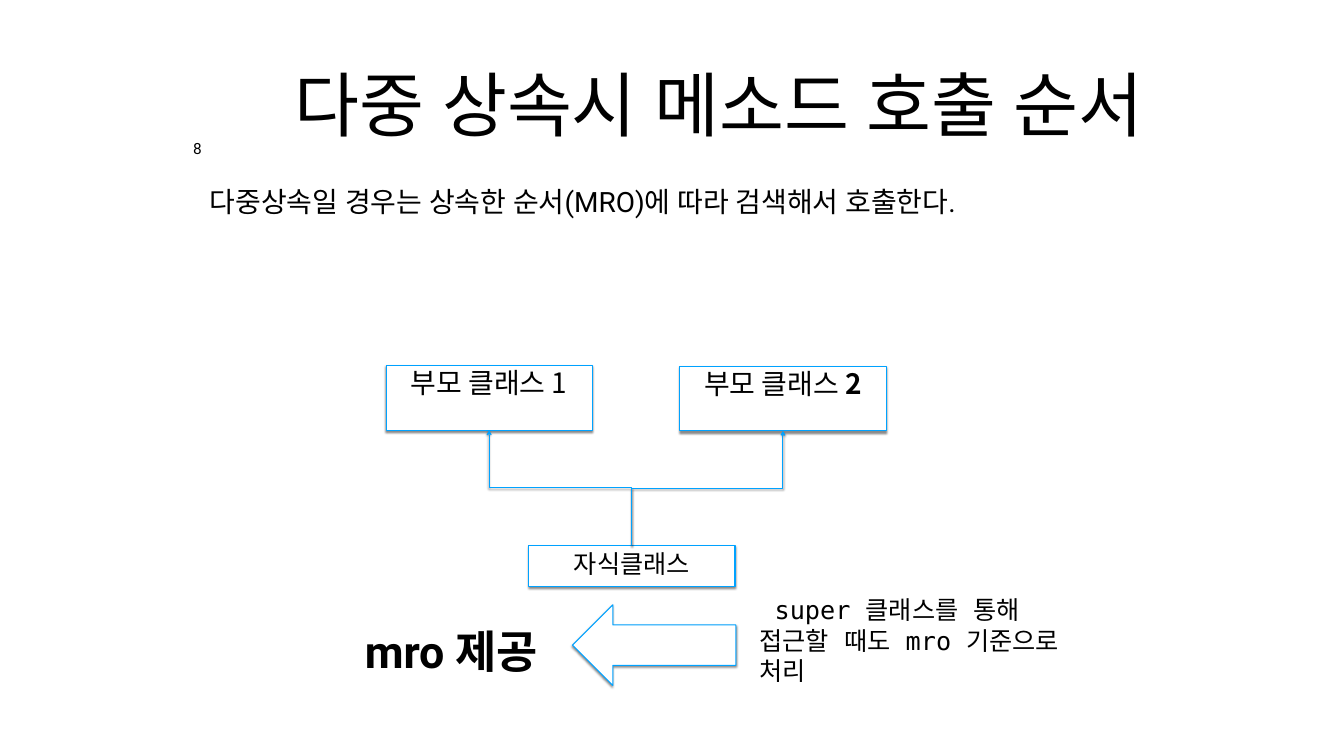
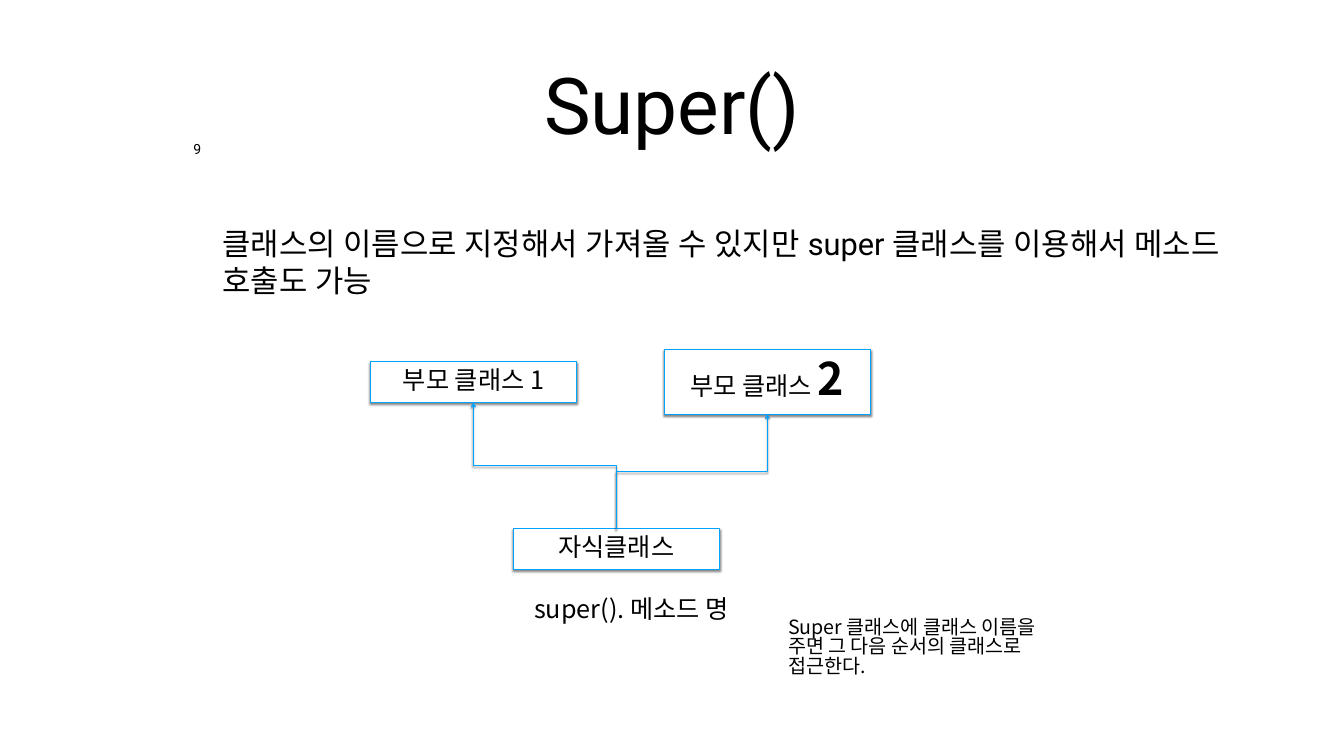
from lxml import etree
from pptx import Presentation
from pptx import util as u
from pptx.dml.color import RGBColor
from pptx.enum import shapes, text
from pptx.oxml import ns

COLUMNS, ROWS = 80, 45
CELL = u.Inches(15) / ROWS
INK, PAPER, ACCENT = "000000", "FFFFFF", "00A2FF"
SANS, KOREAN, MONO = "Roboto", "Noto Sans CJK KR", "DejaVu Sans Mono"
TIGHT = 0.84
BOX_WIDTH, LOW, TALL = 12.27, 2.43, 3.84
PARENT_STEP, CHILD_STEP = 17.49, 8.5
LEFT, CENTER = text.PP_ALIGN.LEFT, text.PP_ALIGN.CENTER
TOP, MIDDLE = text.MSO_ANCHOR.TOP, text.MSO_ANCHOR.MIDDLE


def cells(*counts):
    """Turn grid cells into slide lengths."""
    return [u.Emu(round(count * CELL)) for count in counts]


def color(hex_code):
    """Turn a hex string into a colour."""
    return RGBColor.from_string(hex_code)


def child(parent, tag, **attributes):
    """Append a drawing element to a parent and return it."""
    return etree.SubElement(parent, ns.qn("a:" + tag), attributes)


def add_outline(item):
    """Give a shape or connector the accent line and the soft drop shadow."""
    item.line.color.rgb = color(ACCENT)
    item.line.width = u.Pt(1.5)
    effects = child(item._element.spPr, "effectLst")
    shadow = child(effects, "outerShdw", blurRad=str(u.Pt(3)), dist=str(u.Pt(2.4)),
                   dir="5400000", algn="ctr", rotWithShape="0")
    child(child(shadow, "srgbClr", val=INK), "alpha", val="45000")


def write(frame, words, size, font=SANS, align=LEFT, anchor=TOP, spacing=None,
          inset=0.1, bold=False, wrap=True):
    """Fill a text frame with one styled paragraph."""
    frame.word_wrap = wrap
    frame.vertical_anchor = anchor
    frame.margin_left = frame.margin_right = u.Inches(inset)
    frame.margin_top = frame.margin_bottom = u.Inches(inset)
    frame.text = words
    paragraph = frame.paragraphs[0]
    paragraph.alignment = align
    if spacing:
        paragraph.line_spacing = spacing
    for run in paragraph.runs:
        style(run, size, font, bold)


def style(run, size, font, bold=False):
    """Set the look of a run, with one typeface for Latin and Hangul."""
    run.font.size = u.Pt(size)
    run.font.name = font
    run.font.bold = bold
    run.font.color.rgb = color(INK)
    child(run.font._element, "ea", typeface=font)


def add_text(slide, area, words, size, **look):
    """Place a text box on the grid."""
    write(slide.shapes.add_textbox(*cells(*area)).text_frame, words, size, **look)


def add_heading(slide, title, title_width, title_size, number, number_area, number_size):
    """Place the title and the slide number."""
    add_text(slide, (14.4, 1.17, title_width, 9.96), title, title_size,
             align=CENTER, anchor=MIDDLE, inset=0.08)
    add_text(slide, number_area, number, number_size,
             align=CENTER, spacing=0.8, inset=0.08, wrap=False)


def add_block(slide, kind, area):
    """Draw a white outlined shape."""
    block = slide.shapes.add_shape(kind, *cells(*area))
    block.fill.solid()
    block.fill.fore_color.rgb = color(PAPER)
    add_outline(block)
    return block


def add_class(slide, area, name, size, anchor=MIDDLE, bold_end=None):
    """Draw a class box, with an optional bold ending of (words, size)."""
    box = add_block(slide, shapes.MSO_SHAPE.RECTANGLE, area)
    write(box.text_frame, name, size, font=KOREAN, align=CENTER, anchor=anchor, spacing=TIGHT)
    if bold_end:
        ending = box.text_frame.paragraphs[0].add_run()
        ending.text = bold_end[0]
        style(ending, bold_end[1], KOREAN, True)
    return box


def add_inheritance(slide, heir, parent):
    """Draw an elbow arrow from the top of the heir to the bottom of the parent."""
    start_x, start_y = heir.left + heir.width // 2, heir.top
    end_x, end_y = parent.left + parent.width // 2, parent.top + parent.height
    middle_x, middle_y = (start_x + end_x) // 2, (start_y + end_y) // 2
    half_rise, half_run = (start_y - end_y) // 2, (end_x - start_x) // 2
    arrow = slide.shapes.add_connector(
        shapes.MSO_CONNECTOR.ELBOW, middle_x - half_rise, middle_y - half_run,
        middle_x + half_rise, middle_y + half_run)
    arrow._element.spPr.find(ns.qn("a:xfrm")).set("rot", str(270 * 60000))
    add_outline(arrow)
    child(arrow.line._get_or_add_ln(), "tailEnd", type="arrow")


def add_family(slide, left, parent_rows, heir_top, size, second_size, anchor):
    """Draw two parent classes and the child class that inherits from them."""
    (first_top, first_height), (second_top, second_height) = parent_rows
    first = add_class(slide, (left, first_top, BOX_WIDTH, first_height),
                      "부모 클래스 1", size, anchor)
    second = add_class(slide, (left + PARENT_STEP, second_top, BOX_WIDTH, second_height),
                       "부모 클래스 ", size, anchor, ("2", second_size))
    heir = add_class(slide, (left + CHILD_STEP, heir_top, BOX_WIDTH, LOW), "자식클래스", 36)
    for parent in (first, second):
        add_inheritance(slide, heir, parent)


def build_call_order(slide):
    """Build the slide on method call order."""
    add_heading(slide, "다중 상속시 메소드 호출 순서", 56.85, 100.8,
                "8", (11.25, 8.25, 1, 1.35), 22)
    add_text(slide, (12.24, 10.98, 54.75, 6.33),
             "다중상속일 경우는 상속한 순서(MRO)에 따라 검색해서 호출한다.", 40,
             spacing=0.9, inset=0.08)
    add_family(slide, 22.98, [(21.78, TALL), (21.81, TALL)], 32.46, 40, 40, TOP)
    add_text(slide, (20.76, 36.81, 16.53, TALL), " mro 제공", 64, bold=True)
    add_text(slide, (44.91, 35.1, 19.83, 6.06),
             " super 클래스를 통해 접근할 때도 mro 기준으로 처리", 36, font=MONO)
    pointer = add_block(slide, shapes.MSO_SHAPE.RIGHT_ARROW, (34.08, 36, 9.72, 4.8))
    pointer.rotation = 180


def build_super(slide):
    """Build the slide on super()."""
    add_heading(slide, "Super()", 51.21, 112, "9", (11.04, 8.34, 1.41, 1.29), 20)
    add_text(slide, (13, 10.98, 65.07, 9.18),
             "클래스의 이름으로 지정해서 가져올 수 있지만 super 클래스를 이용해서 메소드 호출도 가능",
             44, anchor=MIDDLE, inset=0.08)
    add_family(slide, 22.05, [(21.54, LOW), (20.82, TALL)], 31.47, 36, 64, MIDDLE)
    add_text(slide, (26.31, 35.31, 22.2, LOW), " super(). 메소드 명", 36,
             font=KOREAN, align=CENTER, spacing=TIGHT)
    add_text(slide, (46.62, 36.51, 17.49, 4.86),
             "Super 클래스에 클래스 이름을 주면 그 다음 순서의 클래스로 접근한다.", 28,
             font=KOREAN, spacing=TIGHT)


def main():
    """Build and save the presentation."""
    deck = Presentation()
    deck.slide_width, deck.slide_height = cells(COLUMNS, ROWS)
    for build in (build_call_order, build_super):
        build(deck.slides.add_slide(deck.slide_layouts[6]))
    deck.save("out.pptx")


if __name__ == "__main__":
    main()
